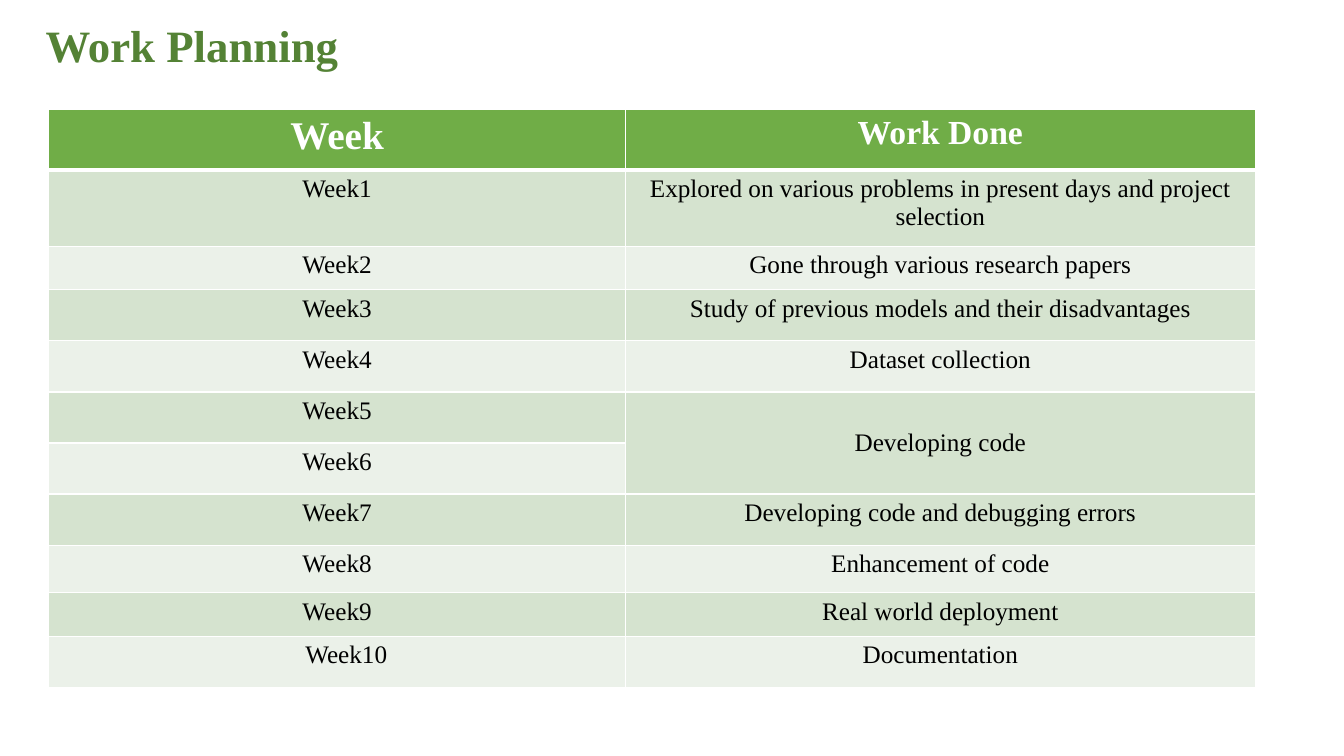
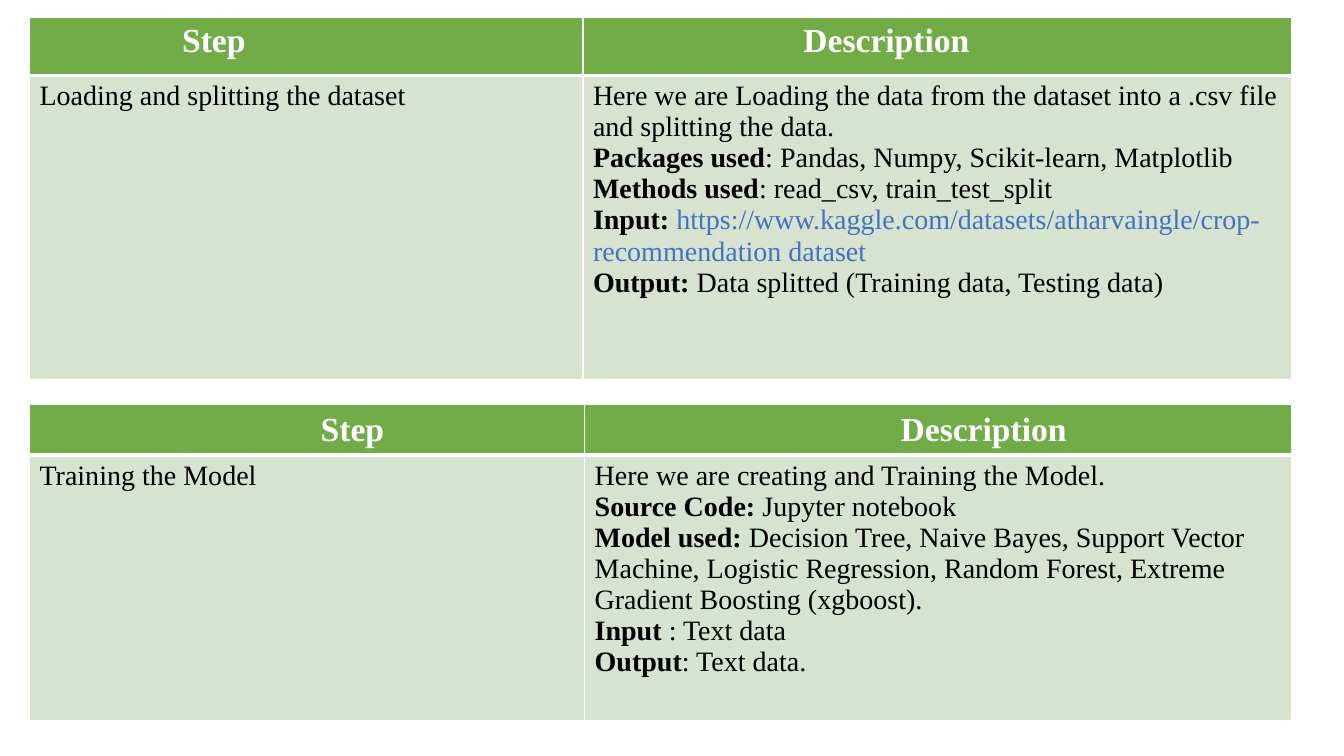
from dataclasses import dataclass

import lxml.etree
import pptx
import pptx.dml.color
import pptx.enum.text
import pptx.oxml.ns
import pptx.util

Pt = pptx.util.Pt
ALIGN = pptx.enum.text.PP_ALIGN
ANCHOR = pptx.enum.text.MSO_ANCHOR

# Shared look
INK = {
    "title": "548235",
    "head": "70AD47",
    "odd": "D5E3CF",
    "even": "EBF1E9",
    "white": "FFFFFF",
    "black": "000000",
    "link": "4472C4",
}
FACE = "Times New Roman"
PAD = 7.2
THIN, THICK = 1, 3


@dataclass
class Run:
    text: str
    bold: bool = False
    ink: str = "black"


@dataclass
class Cell:
    paras: list[list[Run]]
    size: float
    center: bool = False
    left: float = PAD
    middle: bool = False


@dataclass
class Grid:
    left: float
    top: float
    cols: list[float]
    rows: list[float]
    cells: list[list[Cell]]


def color(name: str) -> pptx.dml.color.RGBColor:
    return pptx.dml.color.RGBColor.from_string(INK[name])


def write(frame: pptx.text.text.TextFrame, paras: list[list[Run]],
          size: float, center: bool = False) -> None:
    for i, runs in enumerate(paras):
        para = frame.paragraphs[0] if i == 0 else frame.add_paragraph()
        para.alignment = ALIGN.CENTER if center else ALIGN.LEFT
        for part in runs:
            run = para.add_run()
            run.text = part.text
            form = {"name": FACE, "size": Pt(size), "bold": part.bold}
            for key, value in form.items():
                setattr(run.font, key, value)
            run.font.color.rgb = color(part.ink)


def edge(cell: pptx.table._Cell, row: int) -> None:
    """Draw white borders, thick between the header and the body."""
    props = cell._tc.get_or_add_tcPr()
    wide = {"lnL": THIN, "lnR": THIN,
            "lnT": THICK if row == 1 else THIN,
            "lnB": THICK if row == 0 else THIN}
    qn = pptx.oxml.ns.qn
    for i, (tag, width) in enumerate(wide.items()):
        line = lxml.etree.Element(qn("a:" + tag), w=str(Pt(width)))
        fill = lxml.etree.SubElement(line, qn("a:solidFill"))
        lxml.etree.SubElement(fill, qn("a:srgbClr"), val=INK["white"])
        props.insert(i, line)


def draw(slide: pptx.slide.Slide, grid: Grid) -> pptx.table.Table:
    table = slide.shapes.add_table(
        len(grid.rows), len(grid.cols), Pt(grid.left), Pt(grid.top),
        Pt(sum(grid.cols)), Pt(sum(grid.rows))).table
    for col, width in zip(table.columns, grid.cols):
        col.width = Pt(width)
    for r, (high, line) in enumerate(zip(grid.rows, grid.cells)):
        table.rows[r].height = Pt(high)
        shade = "head" if r == 0 else "odd" if r % 2 else "even"
        for c, item in enumerate(line):
            cell = table.cell(r, c)
            cell.fill.solid()
            cell.fill.fore_color.rgb = color(shade)
            edge(cell, r)
            form = {
                "margin_left": Pt(item.left),
                "vertical_anchor":
                    ANCHOR.MIDDLE if item.middle else ANCHOR.TOP,
            }
            for key, value in form.items():
                setattr(cell, key, value)
            write(cell.text_frame, item.paras, item.size, item.center)
    return table


def head(text: str, size: float = 24, center: bool = True,
         left: float = PAD, middle: bool = False) -> Cell:
    return Cell([[Run(text, True, "white")]], size, center, left, middle)


def body(text: str, left: float = PAD, middle: bool = False) -> Cell:
    return Cell([[Run(text)]] if text else [], 18, True, left, middle)


def note(*lines: tuple[str, ...]) -> Cell:
    """Each line is a bold label, its text and, at times, a colour."""
    paras = []
    for label, text, *ink in lines:
        lead = [Run(label, True)] if label else []
        paras.append(lead + [Run(text, False, *ink)])
    return Cell(paras, 20)


# Work plan: an empty text belongs to the merged cell above
TASKS = [
    "Explored on various problems in present days and project selection",
    "Gone through various research papers",
    "Study of previous models and their disadvantages",
    "Dataset collection",
    "Developing code",
    "",
    "Developing code and debugging errors",
    "Enhancement of code",
    "Real world deployment",
    "Documentation",
]

# Steps of the model
LOAD = [
    [head("Step", center=False, left=109),
     head("Description", center=False, left=157.5)],
    [note(("", "Loading and splitting the dataset")),
     note(
         ("", "Here we are Loading the data from the dataset into a .csv "
              "file and splitting the data."),
         ("Packages used", ": Pandas, Numpy, Scikit-learn, Matplotlib"),
         ("Methods used", ": read_csv, train_test_split"),
         ("Input: ", "https://www.kaggle.com/datasets/atharvaingle/"
                     "crop-recommendation dataset", "link"),
         ("Output: ", "Data splitted (Training data, Testing data)"))],
]
TRAIN = [
    [head(text, left=72, middle=True) for text in ("Step", "Description")],
    [note(("", "Training the Model")),
     note(
         ("", "Here we are creating and Training the Model."),
         ("Source Code: ", "Jupyter notebook"),
         ("Model used: ", "Decision Tree, Naive Bayes, Support Vector "
                          "Machine, Logistic Regression, Random Forest, "
                          "Extreme Gradient Boosting (xgboost)."),
         ("Input ", ": Text data"),
         ("Output", ": Text data."))],
]


def plan(slide: pptx.slide.Slide) -> None:
    cells = [[head("Week", 28), head("Work Done")]]
    for week, task in enumerate(TASKS, 1):
        shift = 13 if week == len(TASKS) else 0
        joint = task == "Developing code"
        cells.append([body(f"Week{week}", PAD + shift),
                      body(task, middle=joint)])
    rows = [43.6, 54.2, 31.2] + [36.5] * 5 + [34, 31, 36.5]
    rows[8:8] = []
    rows = rows[:8] + [36.5] + rows[8:] if len(rows) < len(cells) else rows
    table = draw(slide, Grid(34.8, 78, [412, 449.8], rows, cells))
    table.cell(5, 1).merge(table.cell(6, 1))

    box = slide.shapes.add_textbox(Pt(25.5), Pt(8.9), Pt(353.5), Pt(46))
    box.text_frame.word_wrap = True
    write(box.text_frame, [[Run("Work Planning", True, "title")]], 32)


def steps(slide: pptx.slide.Slide) -> None:
    draw(slide, Grid(21.1, 12.5, [395.3, 506.5], [41.5, 216.8], LOAD))
    draw(slide, Grid(21.1, 289, [396.5, 505.3], [34.8, 189.5], TRAIN))


def main() -> None:
    deck = pptx.Presentation()
    deck.slide_width, deck.slide_height = Pt(960), Pt(540)
    for build in (plan, steps):
        build(deck.slides.add_slide(deck.slide_layouts[6]))
    deck.save("out.pptx")


if __name__ == "__main__":
    main()
